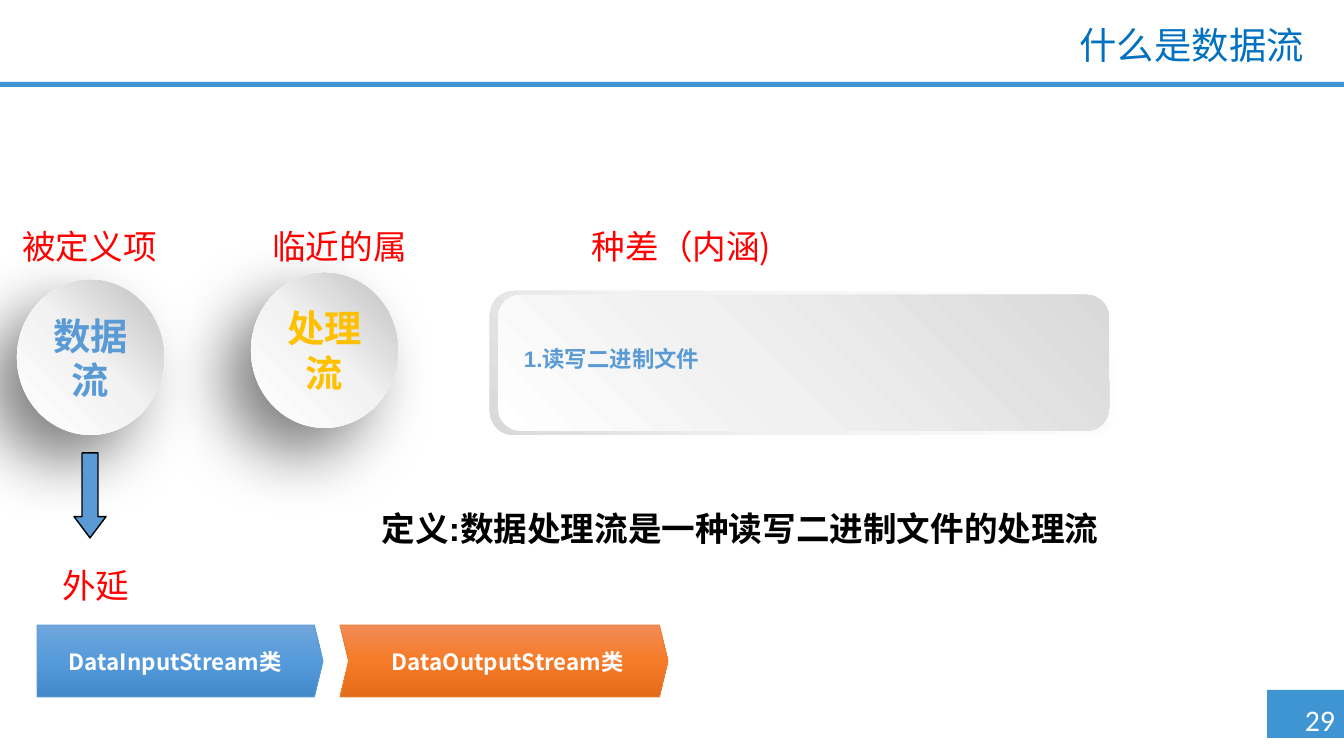
from lxml import etree
from pptx import Presentation
from pptx import util as u
from pptx.dml.color import RGBColor
from pptx.enum import shapes, text
from pptx.oxml import parse_xml
from pptx.oxml.ns import nsdecls, qn

PX = 914400 / 134.4
INK = {"blue": "5B9BD5", "bar": "3F95D2", "title": "0070C0", "red": "FF0000",
       "gold": "FFC000", "orange": "ED7D31", "black": "000000", "white": "FFFFFF"}
CJK = "Noto Sans CJK SC"
KIND, ALIGN, ANCHOR = shapes.MSO_SHAPE, text.PP_ALIGN, text.MSO_ANCHOR


def write(shape, words, size=18, ink="red", font=CJK, bold=False,
          align=ALIGN.CENTER, anchor=ANCHOR.TOP, pad=(13, 7, 13, 7), wrap=True):
    """Fill a shape with one formatted paragraph; pad is left, top, right, bottom."""
    frame = shape.text_frame
    frame.word_wrap = wrap
    frame.auto_size = text.MSO_AUTO_SIZE.NONE
    frame.vertical_anchor = anchor
    frame.margin_left, frame.margin_top, frame.margin_right, frame.margin_bottom = (
        round(n * PX) for n in pad)
    para = frame.paragraphs[0]
    para.alignment = align
    run = para.add_run()
    run.text = words
    run.font.size, run.font.bold, run.font.name = u.Pt(size), bold, font
    run.font.color.rgb = RGBColor.from_string(INK[ink])
    east = etree.Element(qn("a:ea"), typeface=CJK)
    run.font._element.find(qn("a:latin")).addnext(east)
    return para


def draw(home, kind, box, fill, angle=None, line=None, weight=0.5):
    """Add a preset shape; fill is a colour name or (place, hex) stops at a clockwise angle."""
    shape = home.add_shape(kind, *(round(n * PX) for n in box))
    shape.shadow.inherit = False
    if angle is None:
        shape.fill.solid()
        shape.fill.fore_color.rgb = RGBColor.from_string(INK[fill])
    else:
        stops = "".join(f'<a:gs pos="{at * 1000}"><a:srgbClr val="{tone}"/></a:gs>'
                        for at, tone in fill)
        shape._element.spPr.find(qn("a:prstGeom")).addnext(parse_xml(
            f'<a:gradFill {nsdecls("a")} rotWithShape="1"><a:gsLst>{stops}</a:gsLst>'
            f'<a:lin ang="{angle * 60000}" scaled="0"/></a:gradFill>'))
    if line:
        shape.line.color.rgb = RGBColor.from_string(INK[line])
        shape.line.width = u.Pt(weight)
    else:
        shape.line.fill.background()
    return shape


deck = Presentation()
deck.slide_width, deck.slide_height = round(1344 * PX), round(756 * PX)
slide = deck.slides.add_slide(deck.slide_layouts[5])
tree = slide.shapes

# Header and page number
draw(tree, KIND.RECTANGLE, (0, 82, 1344, 5), "bar")
draw(tree, KIND.RECTANGLE, (1267, 690, 77, 48), "bar")
page = tree.add_textbox(*(round(n * PX) for n in (1285, 695, 70, 50)))
write(page, "29", size=16, ink="white", font="Calibri", wrap=False)
title = tree.title
title.left, title.top, title.width, title.height = (
    round(n * PX) for n in (323, 20, 994, 55))
para = write(title, "什么是数据流", size=20, ink="title", font="Roboto",
             align=ALIGN.RIGHT, anchor=ANCHOR.MIDDLE)
para.line_spacing = 0.9

# Term and genus
ball = [(0, "FFFFFF"), (51, "F2F2F2"), (100, "BFBFBF")]
for words, left, top, ink, font in [("数据流", 17, 280, "blue", "Calibri"),
                                    ("处理流", 251, 273, "gold", CJK)]:
    disc = draw(tree, KIND.OVAL, (left, top, 147, 155), ball, angle=315)
    effect = disc._element.spPr.find(qn("a:effectLst"))
    effect.append(parse_xml(
        f'<a:outerShdw {nsdecls("a")} blurRad="{u.Pt(35)}" dist="{u.Pt(20)}" '
        'dir="8100000" algn="tr" rotWithShape="0"><a:srgbClr val="000000">'
        '<a:alpha val="50000"/></a:srgbClr></a:outerShdw>'))
    write(disc, words, size=20, ink=ink, font=font, bold=True, anchor=ANCHOR.MIDDLE)

# Difference panel
panel = tree.add_group_shape().shapes
rim = [(0, "FFFFFF"), (62, "F2F2F2"), (100, "D9D9D9")]
face = [(0, "FFFFFF"), (42, "F0F0F0"), (100, "D9D9D9")]
draw(panel, KIND.ROUNDED_RECTANGLE, (490, 291, 625, 144), rim, angle=135)
draw(panel, KIND.ROUNDED_RECTANGLE, (498, 295, 611, 136), face, angle=315)

# Labels and sentences
plain = {}
strong = {"font": "Arial", "bold": True}
for words, box, look in [
    ("被定义项", (-47, 219, 273, 54), plain),
    ("临近的属", (190, 219, 299, 54), plain),
    ("种差（内涵)", (551, 219, 261, 54), plain),
    ("外延", (29, 558, 134, 54), plain),
    ("1.读写二进制文件", (511, 338, 605, 40),
     {**strong, "size": 12, "ink": "blue", "align": ALIGN.LEFT}),
    ("定义:数据处理流是一种读写二进制文件的处理流", (378, 501, 755, 54),
     {**strong, "ink": "black", "pad": (0, 7, 31, 7)}),
]:
    label = tree.add_textbox(*(round(n * PX) for n in box))
    write(label, words, **look)

# Extension: arrow and classes
arrow = draw(tree, KIND.DOWN_ARROW, (74, 453, 32, 85), "blue", line="black", weight=0.75)
arrow.adjustments[1] = 0.665

blues = [(0, "71A6DB"), (50, "559BDB"), (100, "448ACA")]
warms = [(0, "F18C57"), (50, "F67B28"), (100, "E56C19")]
for words, kind, left, wide, start, span, fill, line in [
    ("DataInputStream类", KIND.PENTAGON, 37, 286, 49, 253, blues, "blue"),
    ("DataOutputStream类", KIND.CHEVRON, 340, 328, 377, 262, warms, "orange"),
]:
    group = tree.add_group_shape().shapes
    step = draw(group, kind, (left, 625, wide, 72), fill, angle=90, line=line)
    step.adjustments[0] = 0.12
    name = group.add_textbox(*(round(n * PX) for n in (start, 648, span, 27)))
    write(name, words, size=12, ink="white", bold=True, anchor=ANCHOR.MIDDLE,
          pad=(0, 0, 0, 0))

deck.save("out.pptx")
